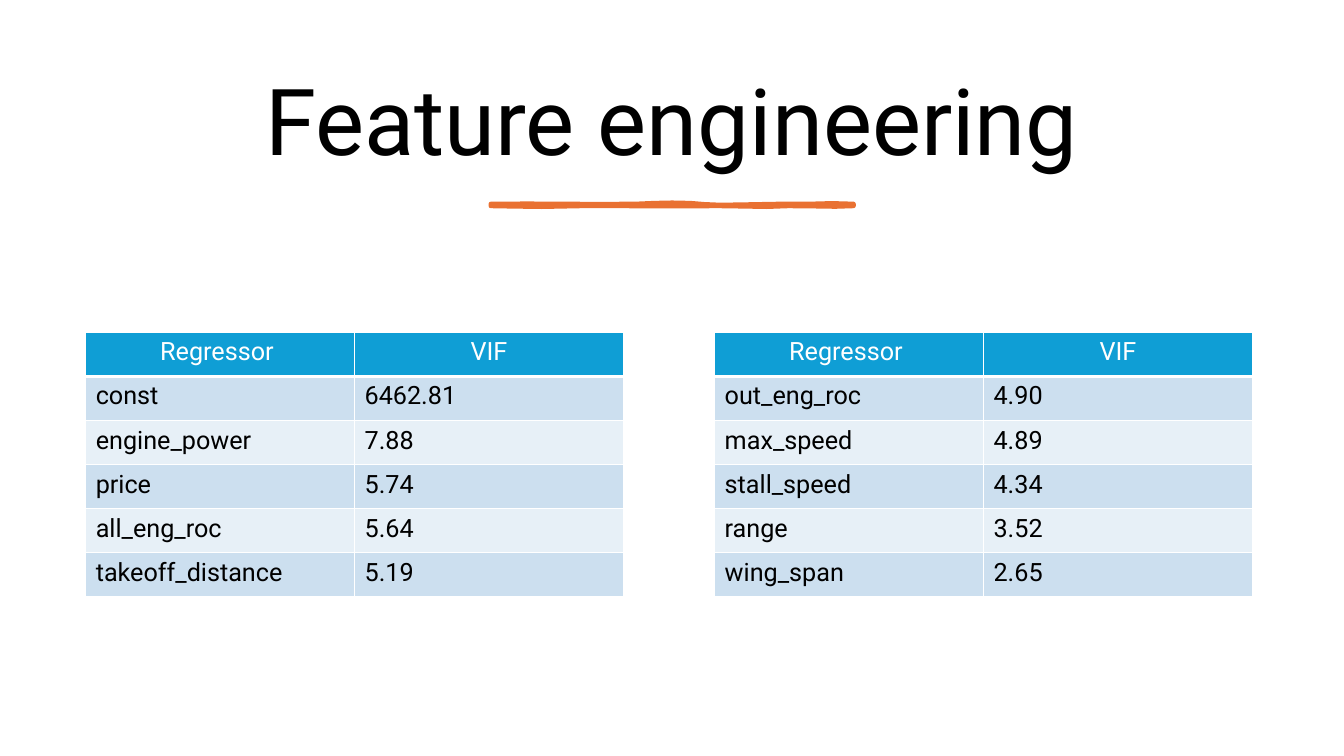
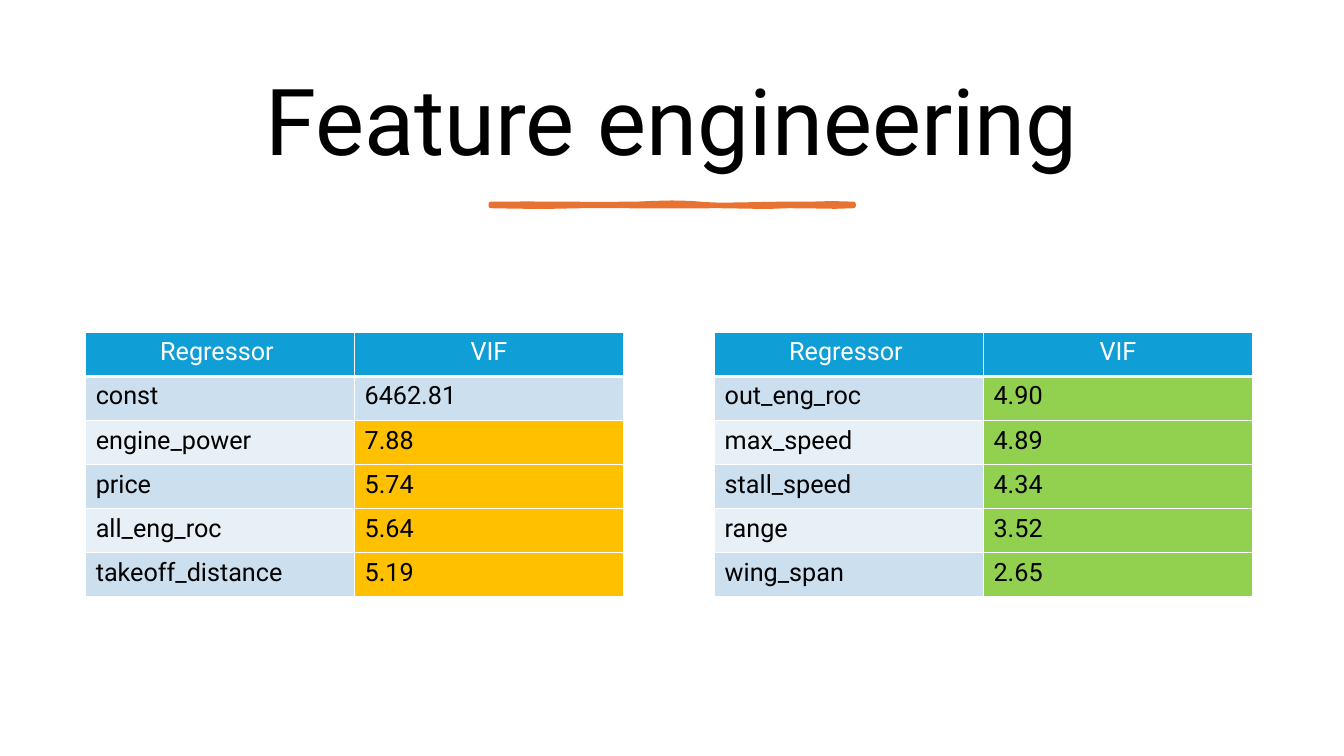
from lxml.etree import SubElement
from pptx import Presentation
from pptx.dml.color import RGBColor
from pptx.enum.text import MSO_ANCHOR, MSO_AUTO_SIZE, PP_ALIGN
from pptx.oxml import parse_xml
from pptx.oxml.ns import nsdecls, qn
from pptx.util import Cm, Pt

COLORS = {
    "text": "000000",
    "white": "FFFFFF",
    "accent": "E97132",
    "header": "0F9ED5",
    "odd_row": "CCDFEF",
    "even_row": "E7F0F7",
    "high": "FFC000",
    "low": "92D050",
}
FONT = "Roboto"
TITLE = "Feature engineering"
TITLE_BOX = (1.78, 1.27, 30.3, 3.81)
UNDERLINE_BOX = (12.37, 5.14, 9.14, 0.05)
TABLE_TOP, TABLE_WIDTH, ROW_HEIGHT = 8.38, 13.55, 1.11
TABLE_LEFTS = (2.16, 18.01)
HEADINGS = ("Regressor ", "VIF")
VIF_LIMIT = 5
TABLES = (
    (
        ("const", "6462.81"),
        ("engine_power", "7.88"),
        ("price", "5.74"),
        ("all_eng_roc", "5.64"),
        ("takeoff_distance", "5.19"),
    ),
    (
        ("out_eng_roc", "4.90"),
        ("max_speed", "4.89"),
        ("stall_speed", "4.34"),
        ("range", "3.52"),
        ("wing_span", "2.65"),
    ),
)
UNDERLINE_TOP = (
    (0, 0), (0.1, -0.1), (0.2, 0), (0.3, 0.1), (0.4, 0), (0.45, -0.4),
    (0.5, -0.6), (0.55, -0.4), (0.59, 0.2), (0.63, 0.5), (0.68, 0.4),
    (0.8, 0), (0.88, 0), (0.94, -0.3), (1, 0),
)
UNDERLINE_BOTTOM = (
    (1, 1), (0.95, 1.3), (0.88, 1.1), (0.82, 1), (0.76, 1.4), (0.7, 1.2),
    (0.63, 1), (0.5, 1.1), (0.35, 1), (0.25, 1), (0.14, 1.4), (0.06, 1.2),
    (0, 1),
)


def color(name):
    """Return a palette colour."""
    return RGBColor.from_string(COLORS[name])


def format_paragraph(para, size, tone, align):
    """Set the font and alignment of a paragraph."""
    para.alignment = align
    para.font.name = FONT
    para.font.size = Pt(size)
    para.font.bold = False
    para.font.color.rgb = color(tone)


def place_title(page, box):
    """Place and format the title placeholder."""
    title = page.shapes.title
    title.left, title.top, title.width, title.height = map(Cm, box)
    frame = title.text_frame
    frame.text = TITLE
    frame.word_wrap = True
    frame.auto_size = MSO_AUTO_SIZE.NONE
    frame.vertical_anchor = MSO_ANCHOR.MIDDLE
    para = frame.paragraphs[0]
    format_paragraph(para, 66, "text", PP_ALIGN.CENTER)
    para.line_spacing = 0.9
    para.space_after = Pt(6)


def add_underline(page, box):
    """Draw the hand-drawn stroke under the title."""
    left, top, width, height = map(Cm, box)
    points = [
        (round(x * width), round(y * height))
        for x, y in UNDERLINE_TOP + UNDERLINE_BOTTOM
    ]
    builder = page.shapes.build_freeform(*points[0])
    builder.add_line_segments(points[1:], close=True)
    stroke = builder.convert_to_shape(left, top)
    stroke.shadow.inherit = False
    stroke.fill.solid()
    stroke.fill.fore_color.rgb = color("accent")
    stroke.line.color.rgb = color("accent")
    stroke.line.width = Pt(3.25)
    SubElement(stroke.line._get_or_add_ln(), qn("a:round"))


def set_borders(cell, row):
    """Draw white cell borders, heavier below the header row."""
    widths = {
        "lnL": 1,
        "lnR": 1,
        "lnT": 3 if row == 1 else 1,
        "lnB": 3 if row == 0 else 1,
    }
    properties = cell._tc.get_or_add_tcPr()
    for index, (side, width) in enumerate(widths.items()):
        border = parse_xml(
            f'<a:{side} {nsdecls("a")} w="{Pt(width)}"><a:solidFill>'
            f'<a:srgbClr val="{COLORS["white"]}"/></a:solidFill></a:{side}>'
        )
        properties.insert(index, border)


def cell_tone(row, column, record, highlighted):
    """Choose the fill of a cell from its row and value."""
    if row == 0:
        return "header"
    if highlighted and column == 1 and record[0] != "const":
        return "high" if float(record[1]) > VIF_LIMIT else "low"
    return "odd_row" if row % 2 else "even_row"


def add_vif_table(page, box, records, highlighted):
    """Add a table of regressors and their inflation factors."""
    rows = (HEADINGS, *records)
    frame = page.shapes.add_table(len(rows), len(HEADINGS), *map(Cm, box))
    table = frame.table
    for line in table.rows:
        line.height = Cm(box[3] / len(rows))
    for row, record in enumerate(rows):
        for column, text in enumerate(record):
            cell = table.cell(row, column)
            cell.text = text
            cell.fill.solid()
            cell.fill.fore_color.rgb = color(
                cell_tone(row, column, record, highlighted)
            )
            set_borders(cell, row)
            format_paragraph(
                cell.text_frame.paragraphs[0],
                18,
                "text" if row else "white",
                PP_ALIGN.LEFT if row else PP_ALIGN.CENTER,
            )


def add_vif_slide(deck, highlighted):
    """Add a slide with the two tables side by side."""
    page = deck.slides.add_slide(deck.slide_layouts.get_by_name("Title Only"))
    place_title(page, TITLE_BOX)
    add_underline(page, UNDERLINE_BOX)
    for left, records in zip(TABLE_LEFTS, TABLES):
        height = ROW_HEIGHT * (len(records) + 1)
        box = (left, TABLE_TOP, TABLE_WIDTH, height)
        add_vif_table(page, box, records, highlighted)


def main():
    """Build and save the deck."""
    deck = Presentation()
    deck.slide_width, deck.slide_height = Cm(33.87), Cm(19.05)
    for highlighted in (False, True):
        add_vif_slide(deck, highlighted)
    deck.save("out.pptx")


if __name__ == "__main__":
    main()
